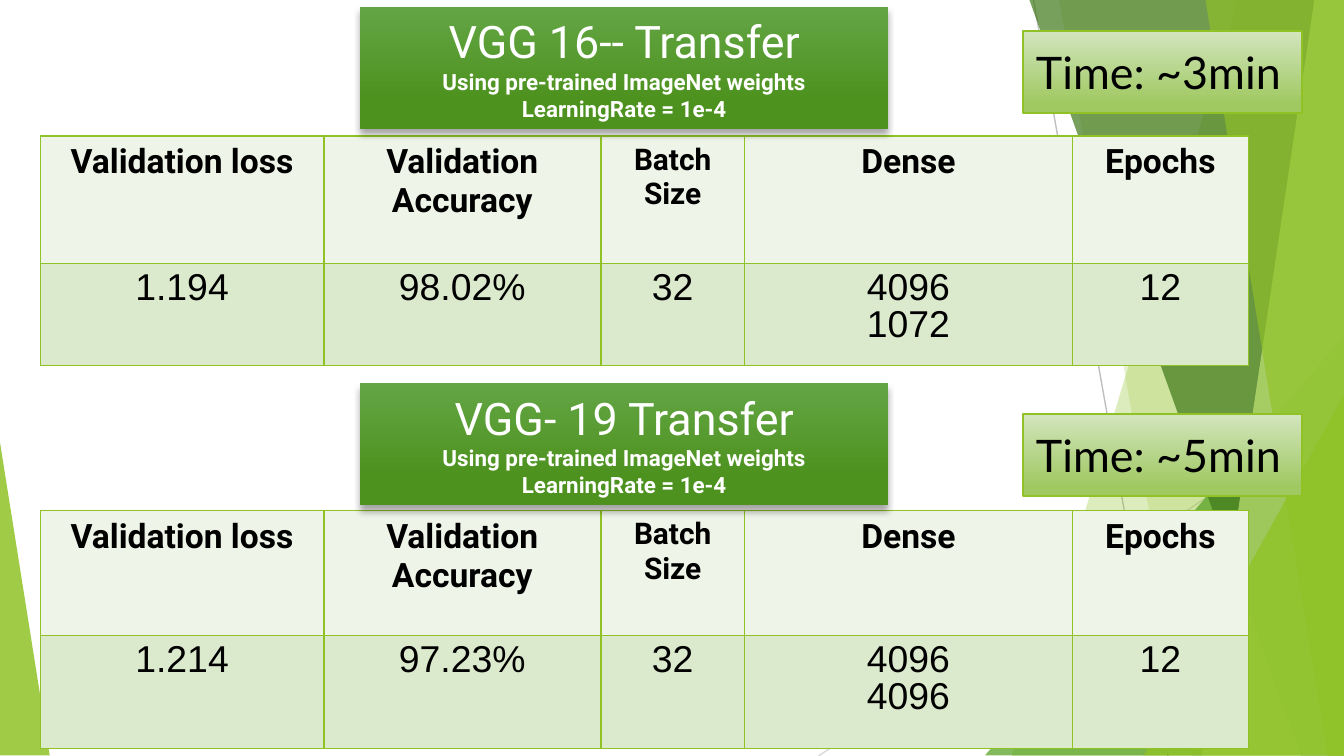
from dataclasses import dataclass

import pptx
import pptx.dml.color
import pptx.enum.shapes
import pptx.enum.text
import pptx.oxml
import pptx.oxml.ns
import pptx.util
from pptx.util import Inches

GREEN = "90C226"
WIDTH = 10
HEIGHT = WIDTH * 9 / 16
COLUMN_WIDTHS = (2.11, 2.06, 1.07, 2.44, 1.31)
HEADINGS = ("Validation loss", "Validation Accuracy", "Batch Size", "Dense", "Epochs")
CENTER = pptx.enum.text.PP_ALIGN.CENTER
LEFT = pptx.enum.text.PP_ALIGN.LEFT


@dataclass
class Facet:
    points: tuple
    color: str
    opacity: int


@dataclass
class Triangle:
    box: tuple
    apex: float
    color: str
    opacity: int


@dataclass
class Experiment:
    title: str
    title_top: float
    time: str
    time_top: float
    table_top: float
    row_heights: tuple
    results: tuple


BACKDROP = (
    Facet(((9.21, 0), (WIDTH, 0), (WIDTH, HEIGHT), (7.53, HEIGHT)), GREEN, 30),
    Facet(((7.88, 0), (WIDTH, 0), (WIDTH, HEIGHT), (8.87, HEIGHT)), GREEN, 20),
    Triangle((7.33, 2.5, 2.67, 3.12), 1, "54A021", 72),
    Facet(((7.66, 0), (WIDTH, 0), (WIDTH, HEIGHT), (9.68, HEIGHT)), "3F7819", 70),
    Facet(((9.78, 0), (WIDTH, 0), (WIDTH, HEIGHT), (8.94, HEIGHT)), "C0E474", 70),
    Facet(((8.97, 0), (WIDTH, 0), (WIDTH, HEIGHT), (9.88, HEIGHT)), GREEN, 65),
    Triangle((8.51, 2.94, 1.49, 2.68), 1, GREEN, 80),
    Triangle((0, 3.29, 0.37, 2.33), 0, GREEN, 85),
)
EXPERIMENTS = (
    Experiment("VGG 16-- Transfer", 0.05, "Time: ~3min", 0.23, 1.01, (0.95, 0.76),
               ("1.194", "98.02%", "32", "4096\n1072", "12")),
    Experiment("VGG- 19 Transfer", 2.85, "Time: ~5min", 3.08, 3.8, (0.93, 0.84),
               ("1.214", "97.23%", "32", "4096\n4096", "12")),
)


def color(value: str) -> pptx.dml.color.RGBColor:
    return pptx.dml.color.RGBColor.from_string(value)


def element(xml: str):
    """Parse a fragment whose root tag uses the a: prefix."""
    tag, rest = xml[1:].split(" ", 1)
    return pptx.oxml.parse_xml(f"<{tag} {pptx.oxml.ns.nsdecls('a')} {rest}")


def write(frame, text: str, *, size: float, font: str = "Roboto", ink: str = "000000",
          bold: bool = False, align=CENTER, spacing: float = 1.0,
          right_to_left: bool = False, append: bool = False) -> None:
    for index, line in enumerate(text.split("\n")):
        paragraph = frame.add_paragraph() if append or index else frame.paragraphs[0]
        paragraph.alignment = align
        paragraph.line_spacing = spacing
        run = paragraph.add_run()
        run.text = line
        run.font.name, run.font.size, run.font.bold = font, pptx.util.Pt(size), bold
        run.font.color.rgb = color(ink)
        if right_to_left:
            paragraph._p.get_or_add_pPr().set("rtl", "1")
            run._r.get_or_add_rPr().append(element('<a:cs typeface="Arial"/>'))


def paint(shape, fill: str, opacity: int) -> None:
    shape.shadow.inherit = False
    shape.line.fill.background()
    shape.fill.solid()
    shape.fill.fore_color.rgb = color(fill)
    solid_color = shape.fill._xPr.find(pptx.oxml.ns.qn("a:solidFill"))[0]
    solid_color.append(element(f'<a:alpha val="{opacity * 1000}"/>'))


def draw_line(slide, start: tuple, end: tuple, ink: str) -> None:
    line = slide.shapes.add_connector(pptx.enum.shapes.MSO_CONNECTOR.STRAIGHT,
                                      *map(Inches, start + end))
    line.line.color.rgb = color(ink)
    line.line.width = pptx.util.Pt(0.75)
    line._element.spPr.append(element("<a:effectLst />"))


def draw_facet(slide, facet: Facet) -> None:
    points = [(Inches(x), Inches(y)) for x, y in facet.points]
    builder = slide.shapes.build_freeform(*points[0])
    builder.add_line_segments(points[1:], close=True)
    paint(builder.convert_to_shape(), facet.color, facet.opacity)


def draw_triangle(slide, triangle: Triangle) -> None:
    shape = slide.shapes.add_shape(pptx.enum.shapes.MSO_SHAPE.ISOSCELES_TRIANGLE,
                                   *map(Inches, triangle.box))
    shape.adjustments[0] = triangle.apex
    paint(shape, triangle.color, triangle.opacity)


def add_gradient_box(slide, box: tuple, stops: tuple):
    shape = slide.shapes.add_shape(pptx.enum.shapes.MSO_SHAPE.RECTANGLE, *map(Inches, box))
    shape.shadow.inherit = False
    shape.fill.gradient()
    shape.fill.gradient_angle = 270
    for stop, (position, value) in zip(shape.fill.gradient_stops, stops):
        stop.position, stop.color.rgb = position, color(value)
    shape.text_frame.word_wrap = True
    shape.text_frame.auto_size = pptx.enum.text.MSO_AUTO_SIZE.SHAPE_TO_FIT_TEXT
    return shape


def draw_title(slide, title: str, top: float) -> None:
    shape = add_gradient_box(slide, (2.68, top, 3.93, 0.91), ((0, "63A545"), (0.78, "4D921E")))
    shape.line.fill.background()
    effects = shape._element.spPr.find(pptx.oxml.ns.qn("a:effectLst"))
    effects.append(element(
        '<a:outerShdw blurRad="50800" dist="38100" dir="5400000" rotWithShape="0">'
        '<a:srgbClr val="000000"><a:alpha val="35000"/></a:srgbClr></a:outerShdw>'))
    write(shape.text_frame, title, size=24, ink="FFFFFF")
    write(shape.text_frame, "Using pre-trained ImageNet weights\nLearningRate = 1e-4",
          size=12, ink="FFFFFF", bold=True, append=True)


def draw_time(slide, text: str, top: float) -> None:
    shape = add_gradient_box(slide, (7.61, top, 2.08, 0.61), ((0, "D3E5BE"), (0.88, "A0C962")))
    shape.line.color.rgb = color(GREEN)
    shape.line.width = pptx.util.Pt(1)
    shape.text_frame.margin_top = shape.text_frame.margin_bottom = Inches(0.1)
    write(shape.text_frame, text, size=24, font="Lato", align=LEFT)


def style_cell(cell, fill: str) -> None:
    properties = cell._tc.get_or_add_tcPr()
    for side in "LRTB":
        properties.append(element(
            f'<a:ln{side} w="12700"><a:solidFill><a:srgbClr val="{GREEN}"/></a:solidFill>'
            f'</a:ln{side}>'))
    cell.fill.solid()
    cell.fill.fore_color.rgb = color(fill)


def draw_table(slide, experiment: Experiment) -> None:
    table = slide.shapes.add_table(
        2, len(HEADINGS), Inches(0.3), Inches(experiment.table_top),
        Inches(sum(COLUMN_WIDTHS)), Inches(sum(experiment.row_heights))).table
    table.first_row = table.horz_banding = False
    for row, height in zip(table.rows, experiment.row_heights):
        row.height = Inches(height)
    for index, width in enumerate(COLUMN_WIDTHS):
        table.columns[index].width = Inches(width)
        heading, result = table.cell(0, index), table.cell(1, index)
        style_cell(heading, "EEF4E8")
        style_cell(result, "DBE9CD")
        write(heading.text_frame, HEADINGS[index], bold=True, right_to_left=True,
              size=16 if HEADINGS[index] == "Batch Size" else 18)
        write(result.text_frame, experiment.results[index], size=20, spacing=0.9,
              right_to_left=True)


def main() -> None:
    presentation = pptx.Presentation()
    presentation.slide_width, presentation.slide_height = Inches(WIDTH), Inches(HEIGHT)
    slide = presentation.slides.add_slide(presentation.slide_layouts[6])

    # Faceted green backdrop
    draw_line(slide, (7.69, 0), (8.69, HEIGHT), "BFBFBF")
    draw_line(slide, (WIDTH, 3.02), (6.09, HEIGHT), "D9D9D9")
    for part in BACKDROP:
        if isinstance(part, Facet):
            draw_facet(slide, part)
        else:
            draw_triangle(slide, part)

    # Result tables with their titles and run times
    for experiment in EXPERIMENTS:
        draw_table(slide, experiment)
        draw_time(slide, experiment.time, experiment.time_top)
        draw_title(slide, experiment.title, experiment.title_top)

    presentation.save("out.pptx")


if __name__ == "__main__":
    main()
